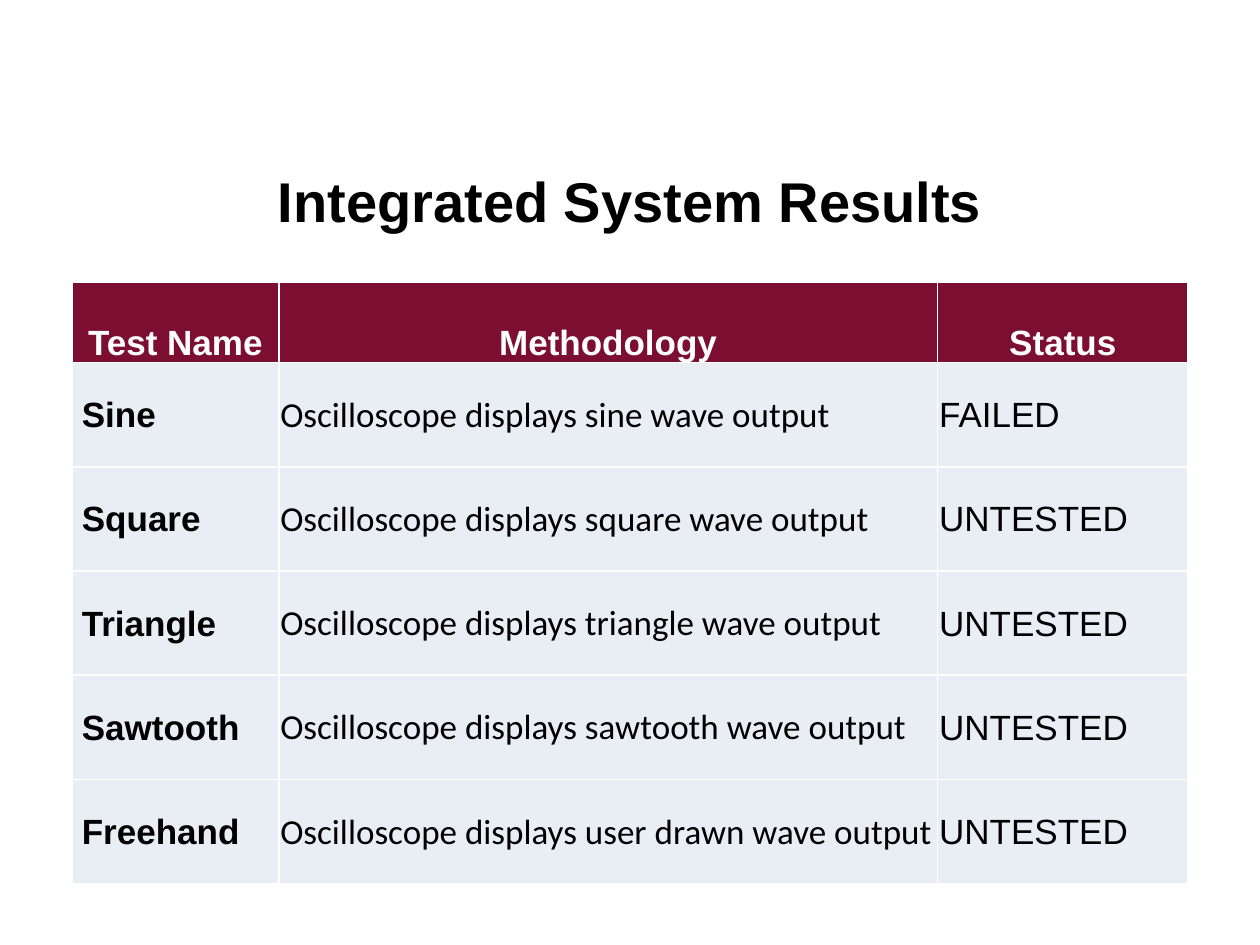
from lxml import etree
from pptx import Presentation
from pptx.dml.color import RGBColor
from pptx.enum.text import MSO_ANCHOR, PP_ALIGN
from pptx.oxml.ns import qn
from pptx.util import Cm, Pt

CENTER, LEFT = PP_ALIGN.CENTER, PP_ALIGN.LEFT
MIDDLE, BOTTOM = MSO_ANCHOR.MIDDLE, MSO_ANCHOR.BOTTOM
BLACK = RGBColor(0x00, 0x00, 0x00)
WHITE = RGBColor(0xFF, 0xFF, 0xFF)
MAROON = RGBColor(0x7C, 0x0F, 0x31)
PALE_BLUE = RGBColor(0xE9, 0xED, 0xF4)

COLUMN_WIDTHS = (Cm(4.17), Cm(13.28), Cm(5.05))
HEADER_HEIGHT = Cm(1.62)
ROW_HEIGHT = Cm(2.1)
HEADINGS = ("Test Name", "Methodology", "Status")
TESTS = (
    ("Sine", "sine", "FAILED"),
    ("Square", "square", "UNTESTED"),
    ("Triangle", "triangle", "UNTESTED"),
    ("Sawtooth", "sawtooth", "UNTESTED"),
    ("Freehand", "user drawn", "UNTESTED"),
)


def add_text(paragraph, text, size, color, bold=True, font_name="Arial", alignment=CENTER):
    """Add one formatted run to a paragraph."""
    paragraph.alignment = alignment
    run = paragraph.add_run()
    run.text = text
    run.font.name = font_name
    run.font.size = Pt(size)
    run.font.bold = bold
    run.font.color.rgb = color


def add_title(slide, text):
    """Place and fill the title placeholder."""
    title = slide.shapes.title
    title.left, title.top = Cm(1.27), Cm(2.92)
    title.width, title.height = Cm(22.86), Cm(2.24)
    title.text_frame.vertical_anchor = MIDDLE
    add_text(title.text_frame.paragraphs[0], text, 32, BLACK)


def set_borders(cell):
    """Draw a thin white line on every side of a cell."""
    properties = cell._tc.get_or_add_tcPr()
    for position, side in enumerate(("a:lnL", "a:lnR", "a:lnT", "a:lnB")):
        line = etree.Element(qn(side), w=str(Pt(1)))
        fill = etree.SubElement(line, qn("a:solidFill"))
        etree.SubElement(fill, qn("a:srgbClr"), val=str(WHITE))
        properties.insert(position, line)


def format_cell(cell, fill_color, anchor, left_margin=Cm(0.03)):
    """Set the fill, borders, margins and anchor of a cell."""
    cell.fill.solid()
    cell.fill.fore_color.rgb = fill_color
    set_borders(cell)
    cell.vertical_anchor = anchor
    cell.margin_left = left_margin
    cell.margin_right = cell.margin_top = Cm(0.03)
    cell.margin_bottom = 0


def add_results_table(slide):
    """Add the table of wave tests with their status."""
    height = HEADER_HEIGHT + ROW_HEIGHT * len(TESTS)
    frame = slide.shapes.add_table(
        len(TESTS) + 1, len(HEADINGS), Cm(1.45), Cm(5.69), sum(COLUMN_WIDTHS), height
    )
    table = frame.table
    for column, width in zip(table.columns, COLUMN_WIDTHS):
        column.width = width
    for row in table.rows:
        row.height = ROW_HEIGHT
    table.rows[0].height = HEADER_HEIGHT

    for cell, heading in zip(table.rows[0].cells, HEADINGS):
        format_cell(cell, MAROON, BOTTOM)
        add_text(cell.text_frame.paragraphs[0], heading, 20, WHITE)

    for index, (name, wave, status) in enumerate(TESTS, start=1):
        entries = (
            (name, True, "Arial", Cm(0.2)),
            (f"Oscilloscope displays {wave} wave output", False, "Calibri", Cm(0.03)),
            (status, False, "Arial", Cm(0.03)),
        )
        for cell, (text, bold, font_name, margin) in zip(table.rows[index].cells, entries):
            format_cell(cell, PALE_BLUE, MIDDLE, margin)
            add_text(cell.text_frame.paragraphs[0], text, 20, BLACK, bold, font_name, LEFT)


def main():
    """Build and save the results slide."""
    presentation = Presentation()
    presentation.slide_width, presentation.slide_height = Cm(25.4), Cm(19.05)
    slide = presentation.slides.add_slide(presentation.slide_layouts[5])
    add_title(slide, "Integrated System Results")
    add_results_table(slide)
    presentation.save("out.pptx")


if __name__ == "__main__":
    main()
